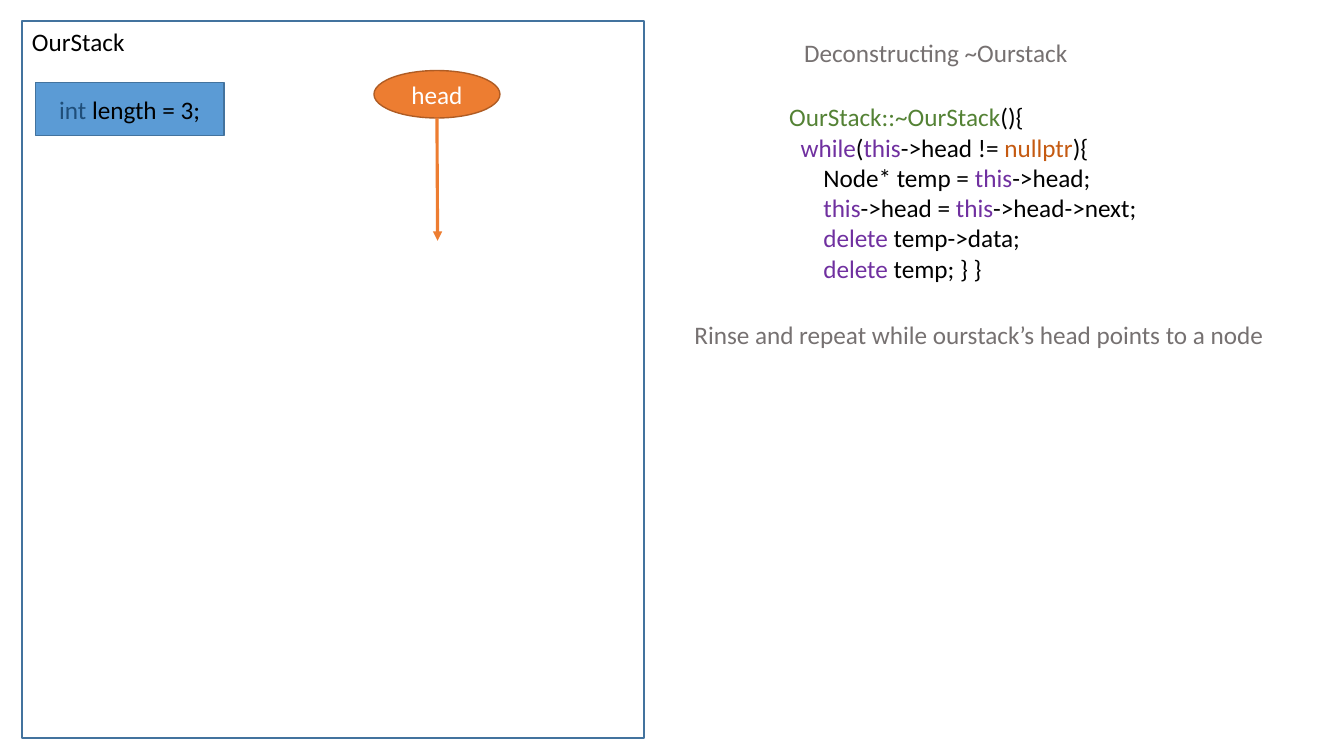
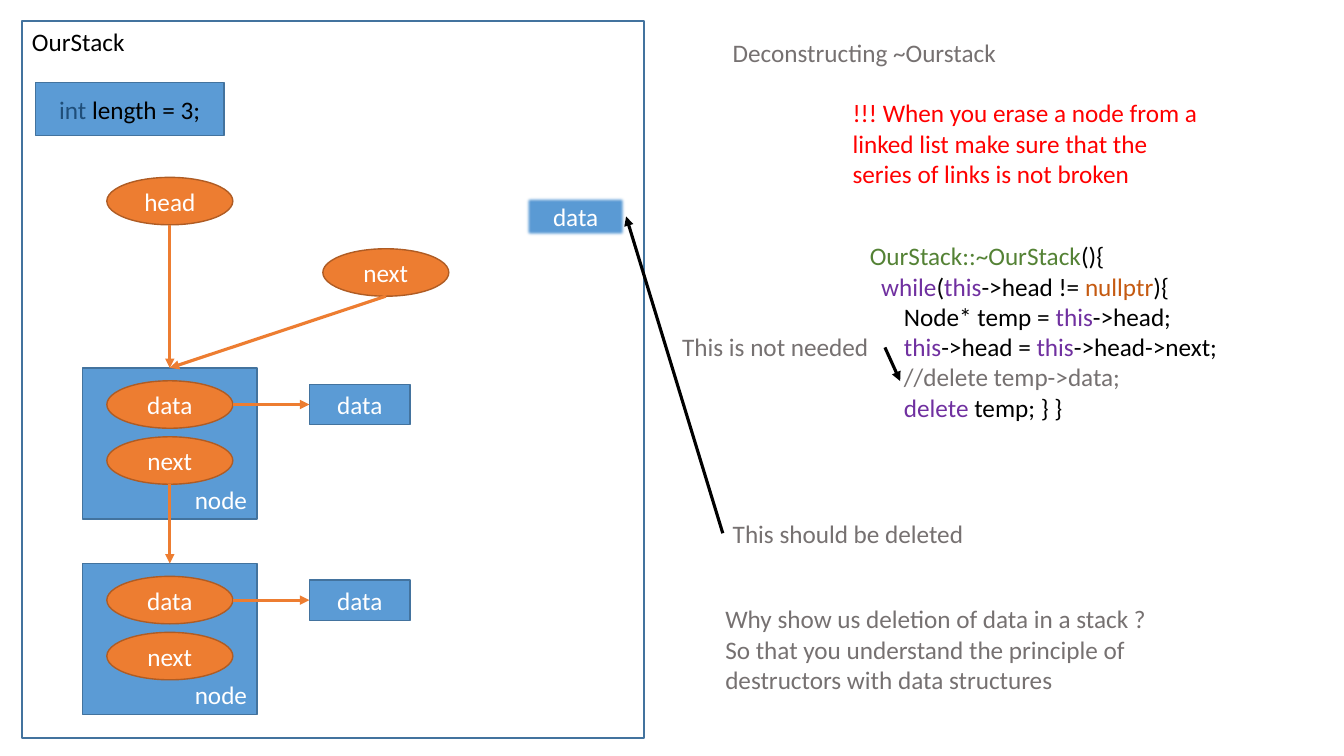
from dataclasses import dataclass
from typing import NamedTuple

from pptx import Presentation
from pptx.dml.color import RGBColor as RGB
from pptx.enum.shapes import MSO_CONNECTOR as Connector, MSO_SHAPE as Preset
from pptx.enum.text import MSO_ANCHOR as Anchor, MSO_AUTO_SIZE as AutoSize, PP_ALIGN as Align
from pptx.oxml.ns import qn
from pptx.oxml.xmlchemy import OxmlElement
from pptx.util import Pt


@dataclass(frozen=True)
class Theme:
    font: str = "Calibri"
    text_size: float = 18
    outline: float = 1
    arrow: float = 2.25
    black: RGB = RGB(0x00, 0x00, 0x00)
    white: RGB = RGB(0xFF, 0xFF, 0xFF)
    grey: RGB = RGB(0x76, 0x71, 0x71)
    red: RGB = RGB(0xFF, 0x00, 0x00)
    blue: RGB = RGB(0x5B, 0x9B, 0xD5)
    blue_line: RGB = RGB(0x43, 0x73, 0x9E)
    navy: RGB = RGB(0x1F, 0x4E, 0x79)
    orange: RGB = RGB(0xED, 0x7D, 0x31)
    orange_line: RGB = RGB(0xAF, 0x5C, 0x24)
    purple: RGB = RGB(0x70, 0x30, 0xA0)
    green: RGB = RGB(0x54, 0x82, 0x35)
    rust: RGB = RGB(0xC5, 0x5A, 0x11)


THEME = Theme()


class Span(NamedTuple):
    text: str
    color: RGB = THEME.black


class Point(NamedTuple):
    x: float
    y: float


class Box(NamedTuple):
    left: float
    top: float
    width: float
    height: float

    @property
    def center(self) -> Point:
        return Point(self.left + self.width / 2, self.top + self.height / 2)

    @property
    def top_point(self) -> Point:
        return Point(self.center.x, self.top)

    @property
    def bottom_point(self) -> Point:
        return Point(self.center.x, self.top + self.height)

    @property
    def left_point(self) -> Point:
        return Point(self.left, self.center.y)

    @property
    def right_point(self) -> Point:
        return Point(self.left + self.width, self.center.y)

    def in_points(self) -> list:
        return [Pt(length) for length in self]


Line = list[Span]

# Sizes of the repeated parts
POINTER_WIDTH, POINTER_HEIGHT = 90, 33.9
DATA_WIDTH, DATA_HEIGHT = 72, 28.8
NODE_WIDTH, NODE_HEIGHT = 124.6, 108
NODE_LEFT, FIRST_NODE_TOP, NODE_PITCH = 59, 262.8, 139.7
POINTER_LEFT = NODE_LEFT + (NODE_WIDTH - POINTER_WIDTH) / 2
LINE_HEIGHT, TEXT_PADDING = 21.8, 7.2


# Text
def write_lines(text_frame, lines: list[Line], align=Align.LEFT) -> None:
    for index, line in enumerate(lines):
        paragraph = text_frame.paragraphs[0] if index == 0 else text_frame.add_paragraph()
        paragraph.alignment = align
        for span in line:
            run = paragraph.add_run()
            run.text = span.text
            run.font.name = THEME.font
            run.font.size = Pt(THEME.text_size)
            run.font.color.rgb = span.color


def add_text(slide, left: float, top: float, width: float, lines: list[Line],
             rows: int = 1, wrap: bool = True) -> None:
    box = Box(left, top, width, rows * LINE_HEIGHT + TEXT_PADDING)
    text_frame = slide.shapes.add_textbox(*box.in_points()).text_frame
    text_frame.word_wrap = wrap
    text_frame.auto_size = AutoSize.SHAPE_TO_FIT_TEXT
    write_lines(text_frame, lines)


def add_note(slide, left: float, top: float, width: float, *texts: str,
             rows: int = 1, wrap: bool = True, color: RGB = THEME.grey) -> None:
    add_text(slide, left, top, width, [[Span(text, color)] for text in texts], rows, wrap)


# Shapes and arrows
def add_figure(slide, preset, box: Box, line: Line, fill: RGB | None, outline: RGB,
               anchor=Anchor.MIDDLE, align=Align.CENTER):
    shape = slide.shapes.add_shape(preset, *box.in_points())
    shape.shadow.inherit = False
    if fill is None:
        shape.fill.background()
    else:
        shape.fill.solid()
        shape.fill.fore_color.rgb = fill
    shape.line.color.rgb = outline
    shape.line.width = Pt(THEME.outline)
    shape.text_frame.word_wrap = True
    shape.text_frame.vertical_anchor = anchor
    write_lines(shape.text_frame, [line], align)
    return shape


def add_pointer(slide, label: str, left: float, top: float) -> Box:
    box = Box(left, top, POINTER_WIDTH, POINTER_HEIGHT)
    add_figure(slide, Preset.OVAL, box, [Span(label, THEME.white)],
               THEME.orange, THEME.orange_line)
    return box


def add_data(slide, left: float, top: float, soft_edge: float = 0) -> Box:
    box = Box(left, top, DATA_WIDTH, DATA_HEIGHT)
    shape = add_figure(slide, Preset.RECTANGLE, box, [Span("data", THEME.white)],
                       THEME.blue, THEME.blue_line)
    if soft_edge:
        edge = OxmlElement("a:softEdge")
        edge.set("rad", str(Pt(soft_edge)))
        shape.element.spPr.find(qn("a:effectLst")).append(edge)
    return box


def add_arrow(slide, start: Point, end: Point, color: RGB = THEME.orange) -> None:
    ends = [Pt(length) for length in (*start, *end)]
    connector = slide.shapes.add_connector(Connector.STRAIGHT, *ends)
    connector.line.color.rgb = color
    connector.line.width = Pt(THEME.arrow)
    properties = connector.element.spPr
    arrowhead = OxmlElement("a:tailEnd")
    arrowhead.set("type", "triangle")
    properties.find(qn("a:ln")).append(arrowhead)
    properties.append(OxmlElement("a:effectLst"))


class Node(NamedTuple):
    box: Box
    next_pointer: Box


def add_node(slide, top: float) -> Node:
    box = Box(NODE_LEFT, top, NODE_WIDTH, NODE_HEIGHT)
    add_figure(slide, Preset.RECTANGLE, box, [Span("node", THEME.white)],
               THEME.blue, THEME.blue_line, Anchor.BOTTOM, Align.RIGHT)
    data_pointer = add_pointer(slide, "data", POINTER_LEFT, top + 9.2)
    next_pointer = add_pointer(slide, "next", POINTER_LEFT, top + 49.2)
    data = add_data(slide, 221, data_pointer.center.y - DATA_HEIGHT / 2)
    add_arrow(slide, data_pointer.right_point, data.left_point)
    return Node(box, next_pointer)


# Parts found on both slides
def add_stack_slide(presentation, heading_left: float):
    slide = presentation.slides.add_slide(presentation.slide_layouts[6])
    add_figure(slide, Preset.RECTANGLE, Box(15.8, 15.1, 444.2, 512), [Span("OurStack")],
               None, THEME.blue_line, Anchor.TOP, Align.LEFT)
    add_figure(slide, Preset.RECTANGLE, Box(25.3, 59.1, 134.7, 37.6),
               [Span("int", THEME.navy), Span(" length = 3;")], THEME.blue, THEME.blue_line)
    add_note(slide, heading_left, 23, 204.5, "Deconstructing ~Ourstack", wrap=False)
    return slide


def add_destructor(slide, left: float, top: float, delete_data: Line) -> None:
    this = Span("this", THEME.purple)
    indent = Span("      ")
    lines = [
        [Span("OurStack::~OurStack", THEME.green), Span("(){")],
        [Span("  "), Span("while", THEME.purple), Span("("), this, Span("->head != "),
         Span("nullptr", THEME.rust), Span("){")],
        [indent, Span("Node* temp = "), this, Span("->head;")],
        [indent, this, Span("->head = "), this, Span("->head->next;")],
        [indent, *delete_data],
        [indent, Span("delete", THEME.purple), Span(" temp; } }")],
    ]
    add_text(slide, left, top, 265.7, lines, rows=len(lines), wrap=False)


# Slides
def build_empty_stack(presentation) -> None:
    slide = add_stack_slide(presentation, 567.4)
    add_destructor(slide, 556.6, 69.1, [Span("delete", THEME.purple), Span(" temp->data;")])
    head = add_pointer(slide, "head", 267.1, 50.4)
    add_arrow(slide, head.bottom_point, Point(312.6, 172))
    add_note(slide, 488.9, 224.7, 426.2,
             "Rinse and repeat while ourstack’s head points to a node", wrap=False)


def build_erased_node(presentation) -> None:
    slide = add_stack_slide(presentation, 516.3)
    add_destructor(slide, 614.2, 168.4, [Span("//delete temp->data;", THEME.grey)])

    # Linked list
    first, second = [add_node(slide, FIRST_NODE_TOP + index * NODE_PITCH) for index in range(2)]
    head = add_pointer(slide, "head", POINTER_LEFT, 126.7)
    erased_next = add_pointer(slide, "next", 230.6, 177.7)
    erased_data = add_data(slide, 375.2, 140.2, soft_edge=2.5)
    for source, target in ((head, first), (erased_next, first), (first.next_pointer, second)):
        add_arrow(slide, source.bottom_point, target.box.top_point)

    # Remarks
    add_note(slide, 601.9, 66.2, 266.4,
             "!!! When you erase a node from a linked list make sure that the series of links "
             "is not broken", rows=3, color=THEME.red)
    add_note(slide, 516.3, 366.5, 186.5, "This should be deleted")
    add_note(slide, 511, 427.6, 369.4, "Why show us deletion of data in a stack ?",
             "So that you understand the principle of destructors with data structures", rows=3)
    add_note(slide, 480.2, 233.4, 151.9, "This is not needed")
    add_arrow(slide, Point(516.3, 380.9), erased_data.right_point, THEME.black)
    add_arrow(slide, Point(632.1, 248.2), Point(643, 272.2), THEME.black)


def main() -> None:
    presentation = Presentation()
    presentation.slide_width, presentation.slide_height = Pt(960), Pt(540)
    build_empty_stack(presentation)
    build_erased_node(presentation)
    presentation.save("out.pptx")


if __name__ == "__main__":
    main()
